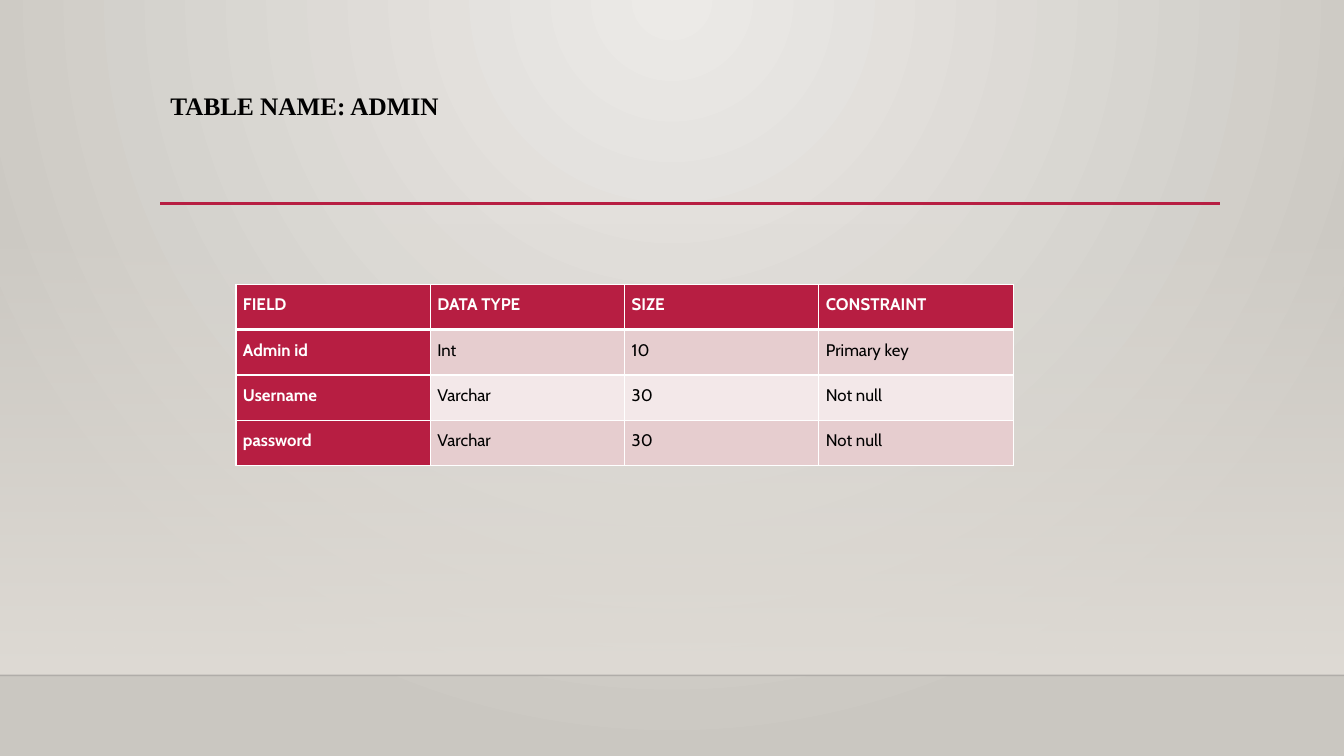
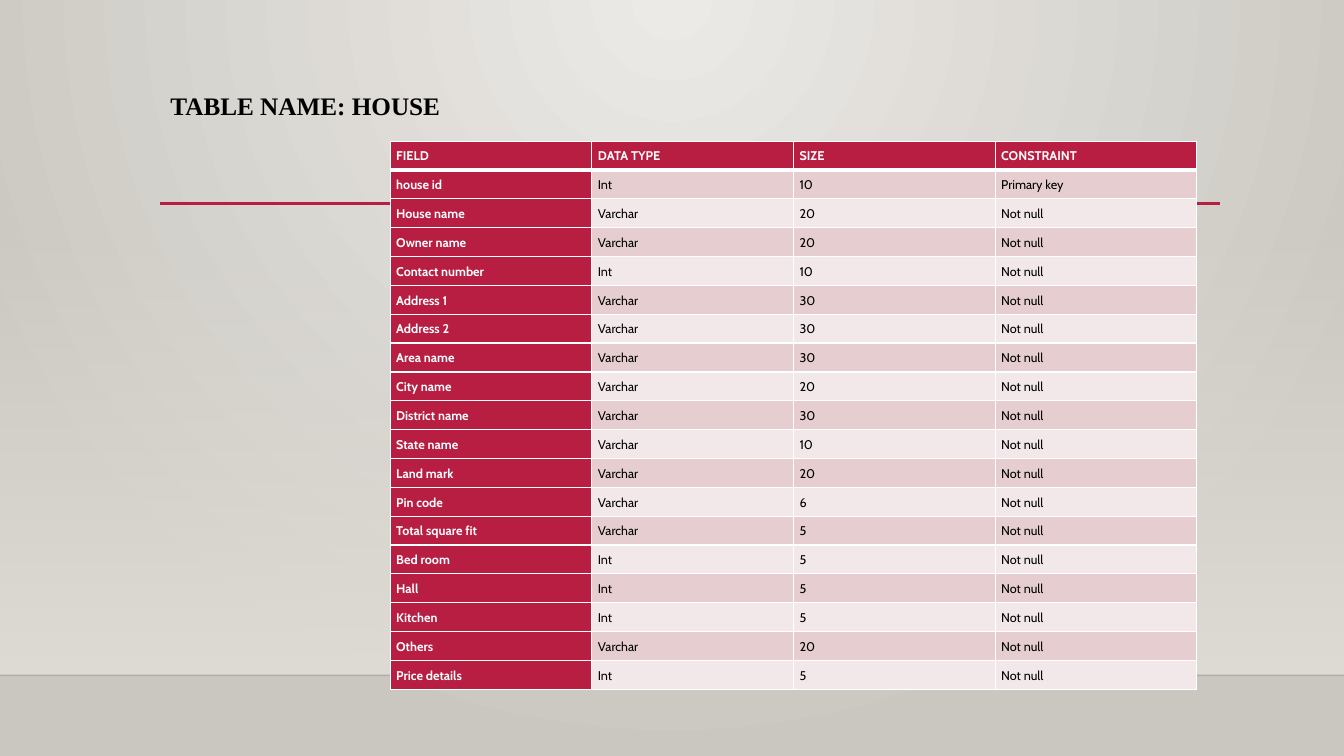
from dataclasses import dataclass

from lxml.etree import SubElement
from pptx import Presentation
from pptx.dml.color import RGBColor
from pptx.enum.shapes import MSO_CONNECTOR as Connector, MSO_SHAPE as Shape
from pptx.enum.text import MSO_ANCHOR as Anchor, MSO_AUTO_SIZE as AutoSize, PP_ALIGN as Align
from pptx.oxml import parse_xml
from pptx.oxml.ns import nsdecls, qn
from pptx.slide import Slide, SlideLayout
from pptx.table import _Cell as Cell
from pptx.util import Inches, Pt

CRIMSON = RGBColor(0xB7, 0x1E, 0x42)
ROSE = RGBColor(0xE6, 0xCD, 0xCF)
PALE_ROSE = RGBColor(0xF3, 0xE8, 0xE9)
WHITE = RGBColor(0xFF, 0xFF, 0xFF)
BLACK = RGBColor(0x00, 0x00, 0x00)
FLOOR_LINE = RGBColor(0x00, 0x00, 0x01)
FLOOR = RGBColor(0xDF, 0xDB, 0xD5)
BACKGROUND_LIGHT = RGBColor(0xEC, 0xEA, 0xE7)
BACKGROUND_DARK = RGBColor(0xCA, 0xC7, 0xC1)

TITLE_FONT = "Times New Roman"
TABLE_FONT = "Cabin"
SLIDE_WIDTH = 13.33
FLOOR_TOP = 6.7
TITLE_LEFT = 1.59
TITLE_WIDTH = 10.5
HEADER = ("FIELD", "DATA TYPE", "SIZE", "CONSTRAINT")


@dataclass(frozen=True)
class Field:
    name: str
    data_type: str
    size: int
    constraint: str = "Not null"


@dataclass(frozen=True)
class TableSlide:
    """One database table; lengths are in inches and the font size in points."""
    title: str
    left: float
    top: float
    width: float
    height: float
    font_size: int
    side_margin: float
    fields: tuple[Field, ...]


@dataclass(frozen=True)
class Rule:
    left: float
    right: float
    y: float
    color: RGBColor
    weight: float
    opacity: int = 100


RULES = (
    Rule(0, SLIDE_WIDTH, FLOOR_TOP, FLOOR_LINE, 1, 20),
    Rule(TITLE_LEFT, 12.1, 2.02, CRIMSON, 2.5),
)

TABLE_SLIDES = (
    TableSlide("TABLE NAME: ADMIN", 2.34, 2.82, 7.71, 1.8, 12, 0.07, (
        Field("Admin id", "Int", 10, "Primary key"),
        Field("Username", "Varchar", 30),
        Field("password", "Varchar", 30),
    )),
    TableSlide("TABLE NAME: HOUSE", 3.87, 1.4, 8, 5.44, 9, 0.06, (
        Field("house id", "Int", 10, "Primary key"),
        Field("House name", "Varchar", 20),
        Field("Owner name", "Varchar", 20),
        Field("Contact number", "Int", 10),
        Field("Address 1", "Varchar", 30),
        Field("Address 2", "Varchar", 30),
        Field("Area name", "Varchar", 30),
        Field("City name", "Varchar", 20),
        Field("District name", "Varchar", 30),
        Field("State name", "Varchar", 10),
        Field("Land mark", "Varchar", 20),
        Field("Pin code", "Varchar", 6),
        Field("Total square fit", "Varchar", 5),
        Field("Bed room", "Int", 5),
        Field("Hall", "Int", 5),
        Field("Kitchen", "Int", 5),
        Field("Others", "Varchar", 20),
        Field("Price details", "Int", 5),
    )),
)


def gradient(start: RGBColor, end: RGBColor, direction: str, start_opacity: int = 100):
    """Return a two-stop gradient fill; direction is its a:lin or a:path element."""
    return parse_xml(
        f'<a:gradFill {nsdecls("a")} rotWithShape="1"><a:gsLst>'
        f'<a:gs pos="0"><a:srgbClr val="{start}"><a:alpha val="{start_opacity * 1000}"/></a:srgbClr></a:gs>'
        f'<a:gs pos="100000"><a:srgbClr val="{end}"/></a:gs>'
        f'</a:gsLst>{direction}</a:gradFill>'
    )


def set_background(layout: SlideLayout) -> None:
    layout.background.fill.solid()
    properties = next(layout.element.iter(qn("p:bgPr")))
    glow = '<a:path path="circle"><a:fillToRect l="43000" t="0" r="43000" b="100000"/></a:path>'
    properties.replace(properties[0], gradient(BACKGROUND_LIGHT, BACKGROUND_DARK, glow))


def add_band(slide: Slide):
    band = slide.shapes.add_shape(
        Shape.RECTANGLE, 0, Inches(2.21), Inches(SLIDE_WIDTH), Inches(FLOOR_TOP - 2.21))
    band.shadow.inherit = False
    band.line.fill.background()
    band.fill.solid()
    properties = band.element.spPr
    fade = gradient(FLOOR, FLOOR, '<a:lin ang="5400000" scaled="0"/>', start_opacity=0)
    properties.replace(properties.find(qn("a:solidFill")), fade)
    return band


def add_rule(slide: Slide, rule: Rule):
    line = slide.shapes.add_connector(
        Connector.STRAIGHT, Inches(rule.left), Inches(rule.y), Inches(rule.right), Inches(rule.y))
    line.line.color.rgb = rule.color
    line.line.width = Pt(rule.weight)
    properties = line.element.spPr
    if rule.opacity < 100:
        color = next(properties.iter(qn("a:srgbClr")))
        SubElement(color, qn("a:alpha")).set("val", str(rule.opacity * 1000))
    SubElement(properties, qn("a:effectLst"))
    return line


def decorate_layout(layout: SlideLayout, slide: Slide) -> None:
    """Draw the shared shapes on the slide, then move them behind the layout's title."""
    set_background(layout)
    for placeholder in list(layout.placeholders)[1:]:
        placeholder.element.getparent().remove(placeholder.element)
    decorations = [add_band(slide), *(add_rule(slide, rule) for rule in RULES)]
    title = layout.placeholders[0].element
    for decoration in decorations:
        title.addprevious(decoration.element)


def write_title(slide: Slide, text: str) -> None:
    title = slide.shapes.title
    title.left, title.top = Inches(TITLE_LEFT), Inches(0.88)
    title.width, title.height = Inches(TITLE_WIDTH), Inches(1.15)
    frame = title.text_frame
    frame.word_wrap = True
    frame.auto_size = AutoSize.NONE
    frame.vertical_anchor = Anchor.TOP
    paragraph = frame.paragraphs[0]
    paragraph.alignment = Align.LEFT
    paragraph.line_spacing = 0.9
    run = paragraph.add_run()
    run.text = text
    run.font.name = TITLE_FONT
    run.font.size = Pt(18)
    run.font.bold = True
    run.font.color.rgb = BLACK


def set_borders(cell: Cell, top: float, bottom: float) -> None:
    """Outline the cell in white; the side borders are one point wide."""
    properties = cell._tc.get_or_add_tcPr()
    for index, (side, weight) in enumerate((("L", 1), ("R", 1), ("T", top), ("B", bottom))):
        properties.insert(index, parse_xml(
            f'<a:ln{side} {nsdecls("a")} w="{Pt(weight)}"><a:solidFill>'
            f'<a:srgbClr val="{WHITE}"/></a:solidFill></a:ln{side}>'
        ))


def write_cell(cell: Cell, text: str, row: int, column: int, content: TableSlide) -> None:
    is_heading = row == 0 or column == 0
    cell.fill.solid()
    cell.fill.fore_color.rgb = CRIMSON if is_heading else ROSE if row % 2 else PALE_ROSE
    set_borders(cell, top=3 if row == 1 else 1, bottom=3 if row == 0 else 1)
    cell.margin_left = cell.margin_right = Inches(content.side_margin)
    cell.margin_top = cell.margin_bottom = 0
    cell.vertical_anchor = Anchor.TOP
    paragraph = cell.text_frame.paragraphs[0]
    paragraph.line_spacing = 1.5
    run = paragraph.add_run()
    run.text = text
    run.font.name = TABLE_FONT
    run.font.size = Pt(content.font_size)
    run.font.bold = is_heading
    run.font.color.rgb = WHITE if is_heading else BLACK


def add_field_table(slide: Slide, content: TableSlide) -> None:
    rows = [HEADER]
    rows += [(field.name, field.data_type, str(field.size), field.constraint) for field in content.fields]
    table = slide.shapes.add_table(
        len(rows), len(HEADER), Inches(content.left), Inches(content.top),
        Inches(content.width), Inches(content.height)).table
    table.first_col = True
    table.horz_banding = False
    for row, texts in enumerate(rows):
        for column, text in enumerate(texts):
            write_cell(table.cell(row, column), text, row, column, content)


def main() -> None:
    presentation = Presentation()
    presentation.slide_width = Inches(SLIDE_WIDTH)
    presentation.slide_height = Inches(7.5)
    title_only = presentation.slide_layouts[5]
    slides = [presentation.slides.add_slide(title_only) for _ in TABLE_SLIDES]
    decorate_layout(title_only, slides[0])
    for slide, content in zip(slides, TABLE_SLIDES):
        write_title(slide, content.title)
        add_field_table(slide, content)
    presentation.save("out.pptx")


if __name__ == "__main__":
    main()
